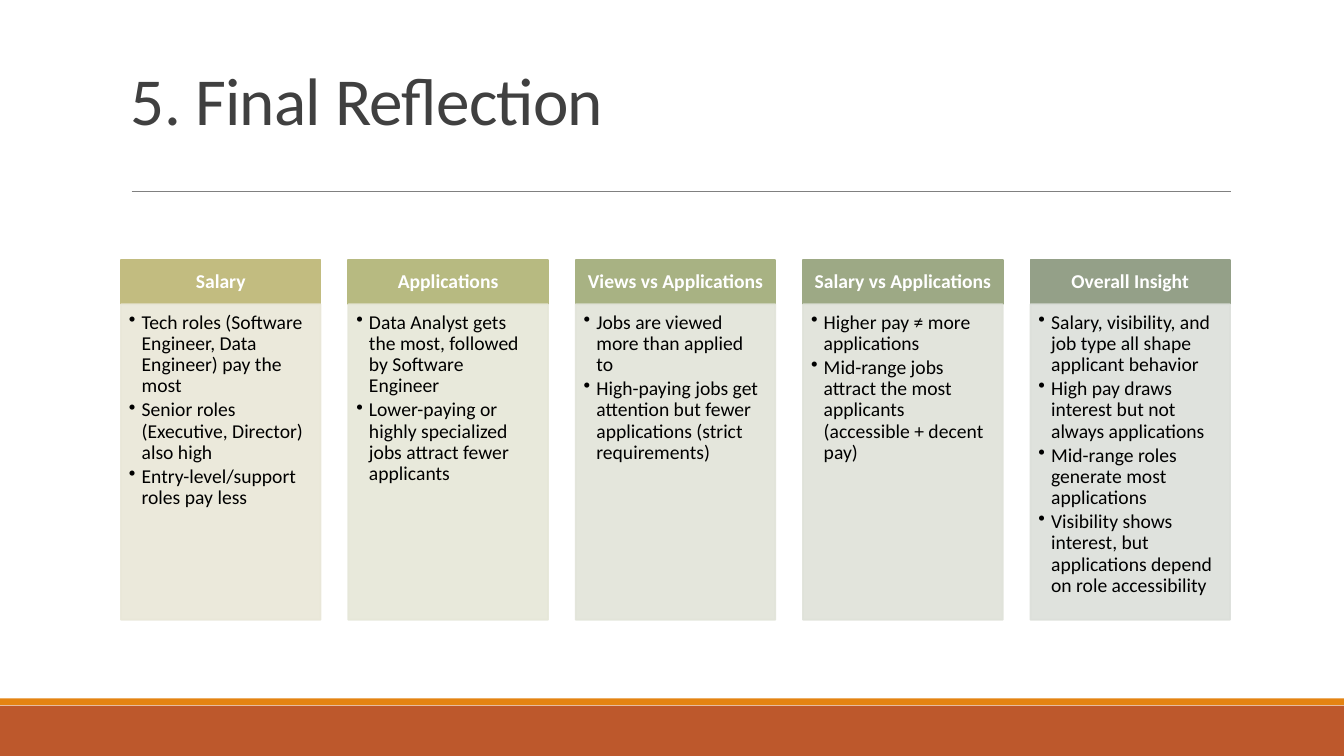
from pptx import Presentation
from pptx.dml.color import RGBColor
from pptx.enum.shapes import MSO_CONNECTOR, MSO_SHAPE
from pptx.enum.text import MSO_ANCHOR, MSO_AUTO_SIZE, PP_ALIGN
from pptx.oxml.ns import qn
from pptx.util import Cm, Pt
from lxml import etree

RECTANGLE = MSO_SHAPE.RECTANGLE
STRAIGHT = MSO_CONNECTOR.STRAIGHT
TOP, MIDDLE, BOTTOM = MSO_ANCHOR.TOP, MSO_ANCHOR.MIDDLE, MSO_ANCHOR.BOTTOM
LEFT, CENTER = PP_ALIGN.LEFT, PP_ALIGN.CENTER
NO_AUTOFIT = MSO_AUTO_SIZE.NONE

FONT = "Calibri"
COLORS = {
    "title": "404040",
    "rule": "808080",
    "stripe": "E48312",
    "footer": "BD582C",
    "heading": "FFFFFF",
    "body": "000000",
}
SLIDE_WIDTH, SLIDE_HEIGHT = 33.87, 19.05
FIRST_LEFT, COLUMN_PITCH, COLUMN_WIDTH = 3.05, 5.73, 5.03
HEADING_TOP, HEADING_HEIGHT = 6.55, 1.12
FINDINGS_HEIGHT = 7.95
HEADING_INSETS = (0.28, 0.16, 0.28, 0.16)
FINDINGS_INSETS = (0.2, 0.2, 0.27, 0.3)
BULLET_INDENT = Cm(0.32)

COLUMNS = [
    ("Salary", "C2BC80", "E9E7D8", [
        "Tech roles (Software Engineer, Data Engineer) pay the most",
        "Senior roles (Executive, Director) also high",
        "Entry-level/support roles pay less",
    ]),
    ("Applications", "B7BA81", "E6E7D8", [
        "Data Analyst gets the most, followed by Software Engineer",
        "Lower-paying or highly specialized jobs attract fewer applicants",
    ]),
    ("Views vs Applications", "A8B283", "E2E4D9", [
        "Jobs are viewed more than applied to",
        "High-paying jobs get attention but fewer applications (strict requirements)",
    ]),
    ("Salary vs Applications", "9DA985", "DFE2D9", [
        "Higher pay ≠ more applications",
        "Mid-range jobs attract the most applicants (accessible + decent pay)",
    ]),
    ("Overall Insight", "94A088", "DCDFDA", [
        "Salary, visibility, and job type all shape applicant behavior",
        "High pay draws interest but not always applications",
        "Mid-range roles generate most applications",
        "Visibility shows interest, but applications depend on role accessibility",
    ]),
]


def rgb(value):
    return RGBColor.from_string(value)


def add_block(slide, left, top, width, height, color):
    block = slide.shapes.add_shape(RECTANGLE, Cm(left), Cm(top), Cm(width), Cm(height))
    block.shadow.inherit = False
    block.fill.solid()
    block.fill.fore_color.rgb = rgb(color)
    block.line.fill.background()
    return block


def add_outline(block, color):
    block.line.color.rgb = rgb(color)
    block.line.width = Pt(1.25)


def make_translucent(block, percent):
    for color in block._element.spPr.iter(qn("a:srgbClr")):
        etree.SubElement(color, qn("a:alpha"), val=str(percent * 1000))


def set_frame(frame, anchor, insets):
    frame.word_wrap = True
    frame.auto_size = NO_AUTOFIT
    frame.vertical_anchor = anchor
    frame.margin_left, frame.margin_top, frame.margin_right, frame.margin_bottom = map(Cm, insets)


def add_bullet(paragraph):
    properties = paragraph._p.get_or_add_pPr()
    properties.set("marL", str(BULLET_INDENT))
    properties.set("indent", str(-BULLET_INDENT))
    etree.SubElement(properties, qn("a:buChar"), char="•")


def write(paragraph, text, size, color, align, line_spacing, bold=False):
    paragraph.alignment = align
    paragraph.line_spacing = line_spacing
    run = paragraph.add_run()
    run.text = text
    run.font.name = FONT
    run.font.size = Pt(size)
    run.font.bold = bold
    run.font.color.rgb = rgb(color)
    return run


def add_title(slide, text):
    title = slide.shapes.title
    title.left, title.top, title.width, title.height = Cm(3.05), Cm(0.79), Cm(27.94), Cm(2.84)
    set_frame(title.text_frame, BOTTOM, (0.25, 0.13, 0.25, 0.13))
    run = write(title.text_frame.paragraphs[0], text, 48, COLORS["title"], LEFT, 0.85)
    run.font._element.set("spc", "-50")


def add_rule(slide):
    rule = slide.shapes.add_connector(STRAIGHT, Cm(3.32), Cm(4.82), Cm(31.01), Cm(4.82))
    rule.line.color.rgb = rgb(COLORS["rule"])
    rule.line.width = Pt(0.5)
    etree.SubElement(rule._element.spPr, qn("a:effectLst"))


def add_heading(slide, left, text, color):
    heading = add_block(slide, left, HEADING_TOP, COLUMN_WIDTH, HEADING_HEIGHT, color)
    add_outline(heading, color)
    set_frame(heading.text_frame, MIDDLE, HEADING_INSETS)
    write(heading.text_frame.paragraphs[0], text, 14, COLORS["heading"], CENTER, 0.9, bold=True)


def add_findings(slide, left, findings, color):
    panel = add_block(slide, left, HEADING_TOP + HEADING_HEIGHT, COLUMN_WIDTH, FINDINGS_HEIGHT, color)
    add_outline(panel, color)
    make_translucent(panel, 90)
    frame = panel.text_frame
    set_frame(frame, TOP, FINDINGS_INSETS)
    for index, finding in enumerate(findings):
        paragraph = frame.add_paragraph() if index else frame.paragraphs[0]
        add_bullet(paragraph)
        write(paragraph, finding, 14, COLORS["body"], LEFT, 0.9)
        paragraph.space_after = Pt(2.1)


def main():
    deck = Presentation()
    deck.slide_width, deck.slide_height = Cm(SLIDE_WIDTH), Cm(SLIDE_HEIGHT)
    slide = deck.slides.add_slide(deck.slide_layouts[5])
    add_block(slide, 0, 17.78, SLIDE_WIDTH, 1.27, COLORS["footer"])
    add_block(slide, 0, 17.6, SLIDE_WIDTH, 0.17, COLORS["stripe"])
    add_rule(slide)
    add_title(slide, "5. Final Reflection")
    for index, (heading, heading_color, panel_color, findings) in enumerate(COLUMNS):
        left = FIRST_LEFT + index * COLUMN_PITCH
        add_heading(slide, left, heading, heading_color)
        add_findings(slide, left, findings, panel_color)
    deck.save("out.pptx")


if __name__ == "__main__":
    main()
